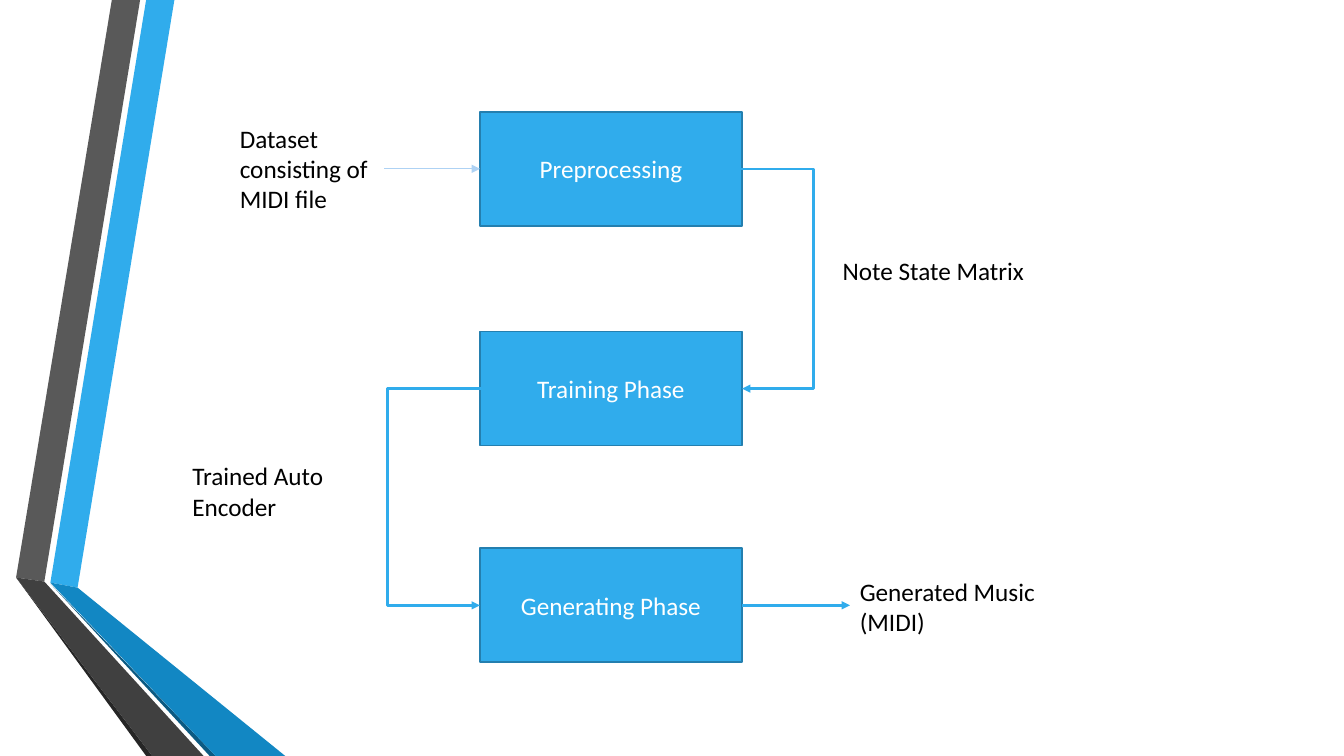
from lxml.etree import SubElement
from pptx import Presentation
from pptx.dml.color import RGBColor
from pptx.enum.shapes import MSO_CONNECTOR as Link, MSO_SHAPE as Preset
from pptx.enum.text import MSO_ANCHOR as Anchor, PP_ALIGN as Align
from pptx.oxml.ns import qn
from pptx.util import Inches, Pt

BLUE = RGBColor(0x30, 0xAC, 0xEC)
BLUE_EDGE = RGBColor(0x24, 0x7F, 0xAF)
BLUE_FOLD = RGBColor(0x12, 0x87, 0xC3)
BLUE_SHADE = RGBColor(0x0C, 0x5A, 0x82)
PALE_BLUE = RGBColor(0xAE, 0xD2, 0xF4)
GREY = RGBColor(0x59, 0x59, 0x59)
GREY_FOLD = RGBColor(0x40, 0x40, 0x40)
GREY_SHADE = RGBColor(0x26, 0x26, 0x26)
BLACK = RGBColor(0, 0, 0)
WHITE = RGBColor(0xFF, 0xFF, 0xFF)

RIBBONS = [
    (BLUE, [(0.5, 5.78), (0.77, 5.83), (1.73, 0), (1.45, 0)]),
    (GREY, [(1.39, 0), (1.11, 0), (0.16, 5.73), (0.44, 5.77)]),
    (GREY_SHADE, [(0.16, 5.73), (1.45, 7.5), (1.51, 7.5)]),
    (BLUE_SHADE, [(0.5, 5.79), (2.08, 7.5), (2.14, 7.5)]),
    (BLUE_FOLD, [(0.5, 5.78), (2.14, 7.5), (2.83, 7.5), (0.77, 5.83)]),
    (GREY_FOLD, [(2.02, 7.5), (0.44, 5.77), (0.16, 5.73), (1.51, 7.5)]),
]
PHASES = [("Preprocessing", 1.11), ("Training Phase", 3.29), ("Generating Phase", 5.44)]
LABELS = [
    ("Note State Matrix", 8.26, 2.48, 2.14, 0.4),
    ("Trained Auto Encoder", 1.81, 4.52, 1.9, 0.71),
    ("Generated Music (MIDI)", 8.43, 5.67, 2.44, 0.71),
    ("Dataset consisting of MIDI file", 2.28, 1.17, 1.79, 1.01),
]
BOX_LEFT, BOX_WIDTH, BOX_HEIGHT = 4.76, 2.6, 1.13
BOX_RIGHT = BOX_LEFT + BOX_WIDTH
ELBOW_STEP = 0.01


def add_ribbon(page, color, points):
    corners = [(Inches(x), Inches(y)) for x, y in points]
    builder = page.shapes.build_freeform(*corners[0])
    builder.add_line_segments(corners[1:], close=True)
    ribbon = builder.convert_to_shape()
    ribbon.shadow.inherit = False
    ribbon.fill.solid()
    ribbon.fill.fore_color.rgb = color
    ribbon.line.fill.background()


def write(frame, text, color, align=Align.LEFT):
    frame.word_wrap = True
    para = frame.paragraphs[0]
    para.text = text
    para.alignment = align
    para.font.name = "Calibri"
    para.font.size = Pt(18)
    para.font.color.rgb = color


def add_phase(page, text, top):
    box = page.shapes.add_shape(
        Preset.RECTANGLE, Inches(BOX_LEFT), Inches(top), Inches(BOX_WIDTH), Inches(BOX_HEIGHT))
    box.shadow.inherit = False
    box.fill.solid()
    box.fill.fore_color.rgb = BLUE
    box.line.color.rgb = BLUE_EDGE
    box.line.width = Pt(1.25)
    box.text_frame.vertical_anchor = Anchor.MIDDLE
    write(box.text_frame, text, WHITE, Align.CENTER)


def add_label(page, text, *place):
    box = page.shapes.add_textbox(*map(Inches, place))
    write(box.text_frame, text, BLACK)


def add_arrow(page, start, end, color=BLUE, width=1.75, kind=Link.STRAIGHT):
    arrow = page.shapes.add_connector(kind, *map(Inches, start + end))
    arrow.line.color.rgb = color
    arrow.line.width = Pt(width)
    SubElement(arrow.line._get_or_add_ln(), qn("a:tailEnd"), type="triangle")
    SubElement(arrow._element.spPr, qn("a:effectLst"))
    return arrow


def add_elbow(page, start, end, bend):
    arrow = add_arrow(page, start, end, kind=Link.ELBOW)
    share = round(abs(bend - start[0]) / ELBOW_STEP * 100000)
    guides = arrow._element.spPr.find(qn("a:prstGeom")).get_or_add_avLst()
    SubElement(guides, qn("a:gd"), name="adj1", fmla=f"val {share}")


def main():
    """Build the music generation pipeline slide."""
    deck = Presentation()
    deck.slide_width, deck.slide_height = Inches(13.33), Inches(7.5)
    page = deck.slides.add_slide(deck.slide_layouts[6])
    for color, points in RIBBONS:
        add_ribbon(page, color, points)
    for text, top in PHASES:
        add_phase(page, text, top)
    first, second, third = [top + BOX_HEIGHT / 2 for _, top in PHASES]
    add_elbow(page, (BOX_RIGHT - ELBOW_STEP, first), (BOX_RIGHT, second), 8.08)
    add_elbow(page, (BOX_LEFT + ELBOW_STEP, second), (BOX_LEFT, third), 3.83)
    add_arrow(page, (BOX_RIGHT, third), (8.43, third))
    add_arrow(page, (3.81, first), (BOX_LEFT, first), PALE_BLUE, 0.75)
    for label in LABELS:
        add_label(page, *label)
    deck.save("out.pptx")


if __name__ == "__main__":
    main()
